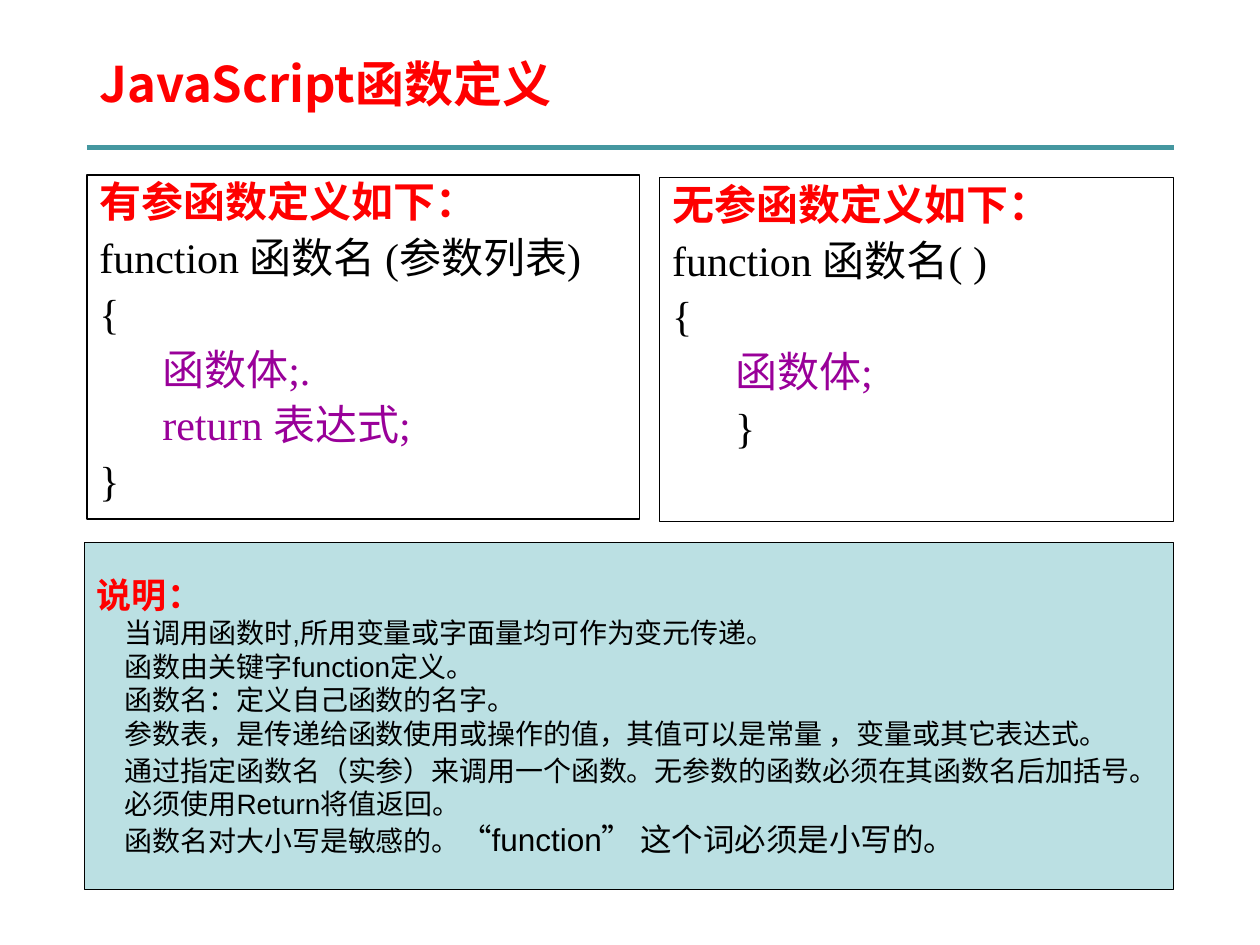
from lxml.etree import SubElement
from pptx import Presentation
from pptx.dml.color import RGBColor
from pptx.enum.shapes import MSO_CONNECTOR, MSO_SHAPE
from pptx.enum.text import MSO_ANCHOR, PP_ALIGN
from pptx.oxml.ns import qn
from pptx.util import Pt

HEX = {"red": "FF0000", "black": "000000", "purple": "990099",
       "teal": "4597A0", "pale": "BBE0E3"}
CJK = "Noto Sans CJK SC"
LEFT, RIGHT = 49.7, 670.6

# Text styles: font name, size, bold, colour
STYLES = {
    "title": (CJK, 28, True, "red"),
    "head": ("Times New Roman", 24, True, "red"),
    "code": ("Times New Roman", 24, False, "black"),
    "body": ("Times New Roman", 24, False, "purple"),
    "label": ("Arial", 20, True, "red"),
    "note": ("Arial", 16, False, "black"),
    "big": ("Arial", 18, False, "black"),
}

# Paragraphs: left indent, space before, runs of (style, text)
TITLE = [(0, 0, [("title", "JavaScript函数定义")])]
WITH = [
    (0, 0, [("head", "有参函数定义如下：")]),
    (0, 6, [("code", "function 函数名 (参数列表)")]),
    (0, 6, [("code", "{")]),
    (36, 6, [("body", "函数体;.")]),
    (36, 6, [("body", "return 表达式;")]),
    (0, 6, [("code", "}")]),
]
WITHOUT = [
    (0, 0, [("head", "无参函数定义如下：")]),
    (0, 6, [("code", "function 函数名( )")]),
    (0, 6, [("code", "{")]),
    (36, 6, [("body", "函数体;")]),
    (36, 6, [("code", "}")]),
]
NOTES = [
    (0, 0, [("label", "说明：")]),
    (16, 0, [("note", "当调用函数时,所用变量或字面量均可作为变元传递。")]),
    (16, 0, [("note", "函数由关键字function定义。")]),
    (16, 0, [("note", "函数名：定义自己函数的名字。")]),
    (16, 0, [("note", "参数表，是传递给函数使用或操作的值，其值可以是常量 ，变量或其它表达式。")]),
    (16, 2, [("note", "通过指定函数名（实参）来调用一个函数。无参数的函数必须在其函数名后加括号。")]),
    (16, 0, [("note", "必须使用Return将值返回。")]),
    (16, 0, [("note", "函数名对大小写是敏感的。"),
             ("big", "“function” 这个词必须是小写的。")]),
]

# Boxes: left, top, right, height, fill, anchor, line spacing, text
TOP, MID = MSO_ANCHOR.TOP, MSO_ANCHOR.MIDDLE
BOXES = [
    (LEFT, 100, 365.6, 196.6, None, TOP, 0.9, WITH),
    (48.3, 309.8, RIGHT, 198.5, "pale", MID, 1.0, NOTES),
    (377, 101.6, RIGHT, 196.6, None, TOP, 0.9, WITHOUT),
]


def color(key):
    return RGBColor.from_string(HEX[key])


def write(frame, paras, anchor, space):
    frame.word_wrap = True
    frame.vertical_anchor = anchor
    for i, (indent, before, runs) in enumerate(paras):
        para = frame.paragraphs[0] if i == 0 else frame.add_paragraph()
        form = {"alignment": PP_ALIGN.LEFT, "line_spacing": space,
                "space_before": Pt(before)}
        for key, val in form.items():
            setattr(para, key, val)
        para._p.get_or_add_pPr().set("marL", str(Pt(indent)))
        for style, text in runs:
            name, size, bold, tint = STYLES[style]
            run = para.add_run()
            run.text = text
            form = {"name": name, "size": Pt(size), "bold": bold}
            for key, val in form.items():
                setattr(run.font, key, val)
            run.font.color.rgb = color(tint)
            SubElement(run._r.rPr, qn("a:ea")).set("typeface", CJK)


def panel(slide, left, top, right, height, fill, anchor, space, paras):
    """Add an outlined rectangle with text."""
    box = slide.shapes.add_shape(MSO_SHAPE.RECTANGLE, Pt(left), Pt(top),
                                 Pt(right - left), Pt(height))
    box.shadow.inherit = False
    if fill:
        box.fill.solid()
        box.fill.fore_color.rgb = color(fill)
    else:
        box.fill.background()
    box.line.color.rgb = color("black")
    box.line.width = Pt(0.75)
    write(box.text_frame, paras, anchor, space)


def main():
    deck = Presentation()
    deck.slide_width, deck.slide_height = Pt(720), Pt(540)
    slide = deck.slides.add_slide(deck.slide_layouts[6])

    rule = slide.shapes.add_connector(MSO_CONNECTOR.STRAIGHT, Pt(LEFT), Pt(84.2),
                                      Pt(RIGHT), Pt(84.2))
    rule.line.color.rgb = color("teal")
    rule.line.width = Pt(3)
    SubElement(rule._element.spPr, qn("a:effectLst"))

    title = slide.shapes.add_textbox(Pt(LEFT), Pt(20.2), Pt(RIGHT - LEFT), Pt(54))
    write(title.text_frame, TITLE, MID, 1.0)
    for box in BOXES:
        panel(slide, *box)
    deck.save("out.pptx")


if __name__ == "__main__":
    main()
